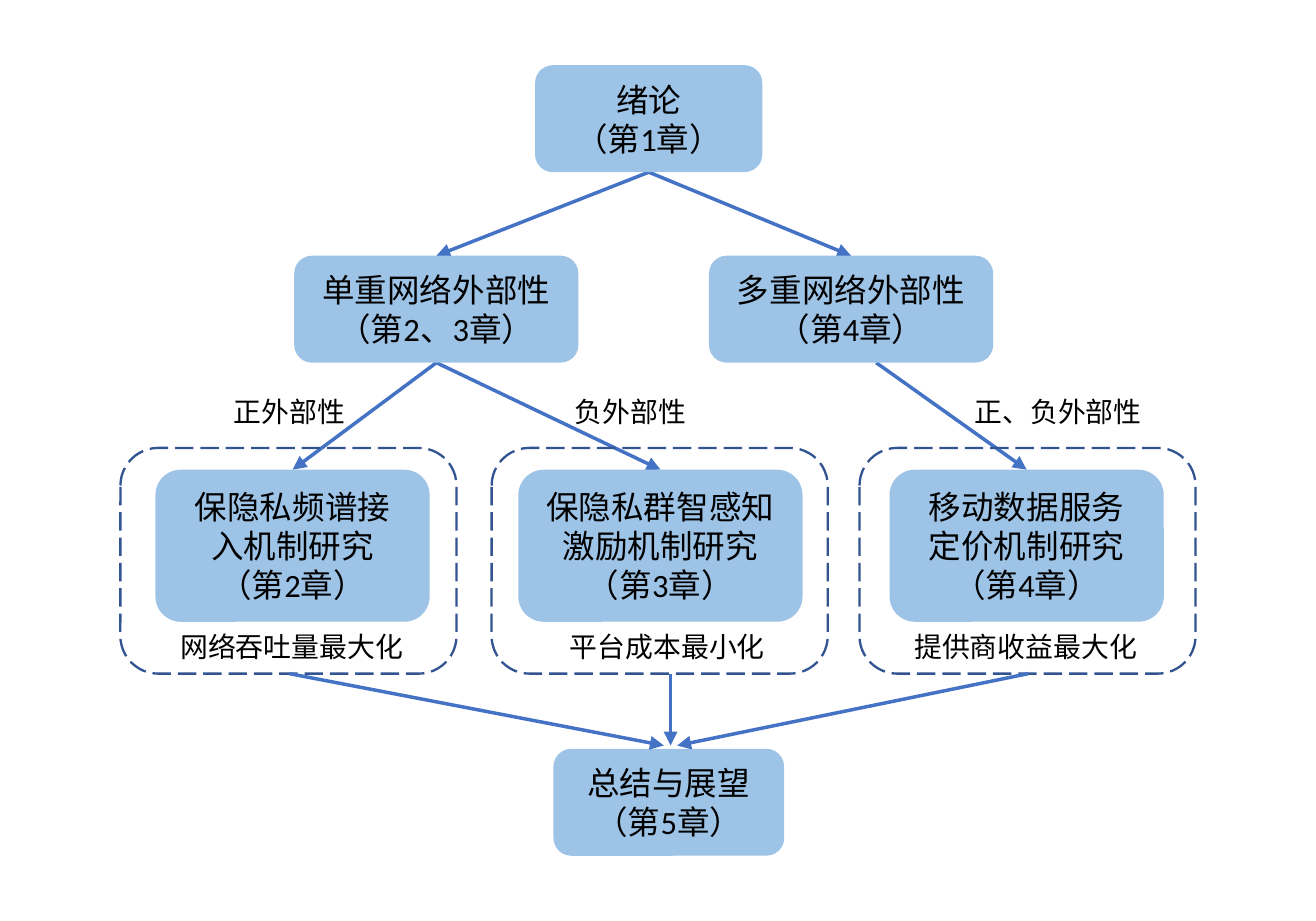
from pptx import Presentation
from pptx.dml.color import RGBColor
from pptx.enum.dml import MSO_LINE_DASH_STYLE as Dash
from pptx.enum.shapes import MSO_CONNECTOR as Connector, MSO_SHAPE as Preset
from pptx.enum.text import MSO_ANCHOR as Anchor, PP_ALIGN as Align
from pptx.oxml.ns import qn
from pptx.util import Inches, Pt
from lxml import etree

# Content: chapter boxes as text, left, top, width, height
BOXES = {
    "intro": ("绪论\n（第1章）", 3.2, 0.39, 1.36, 0.64),
    "single": ("单重网络外部性（第2、3章）", 1.76, 1.53, 1.7, 0.64),
    "multiple": ("多重网络外部性（第4章）", 4.24, 1.53, 1.7, 0.64),
    "spectrum": ("保隐私频谱接入机制研究（第2章）", 0.93, 2.81, 1.64, 0.91),
    "sensing": ("保隐私群智感知激励机制研究（第3章）", 3.1, 2.81, 1.7, 0.91),
    "pricing": ("移动数据服务定价机制研究（第4章）", 5.32, 2.81, 1.64, 0.91),
    "outlook": ("总结与展望\n（第5章）", 3.31, 4.48, 1.38, 0.64),
}
# Labels as text, left, top, width
EFFECT_TOP, GOAL_TOP = 2.31, 3.72
LABELS = [
    ("正外部性", 1.3, EFFECT_TOP, 1.01),
    ("负外部性", 3.34, EFFECT_TOP, 0.9),
    ("正、负外部性", 5.73, EFFECT_TOP, 1.27),
    ("网络吞吐量最大化", 0.98, GOAL_TOP, 1.64),
    ("平台成本最小化", 3.31, GOAL_TOP, 1.44),
    ("提供商收益最大化", 5.37, GOAL_TOP, 1.64),
]
LABEL_HEIGHT = 0.3
# Dashed frames around the three studies
FRAME_LEFTS = [0.72, 2.94, 5.14]
FRAME_TOP, FRAME_WIDTH, FRAME_HEIGHT = 2.68, 2.01, 1.35
# Arrows between boxes: source, target, shift of the start from the centre
BRANCHES = [
    ("intro", "single", 0),
    ("intro", "multiple", 0),
    ("single", "spectrum", 0),
    ("multiple", "pricing", 0.15),
    ("single", "sensing", 0),
]
# Arrows from the frames to the outlook: start x, end x
MERGES = [(1.73, 3.97), (4.01, 4.01), (6.15, 4.05)]
MERGE_GAP = 0.02

COLORS = {"box": "9DC3E6", "arrow": "4472C4", "frame": "325491", "text": "000000"}
FONT = "Calibri"

presentation = Presentation()
presentation.slide_width, presentation.slide_height = Inches(7.87), Inches(5.51)
slide = presentation.slides.add_slide(presentation.slide_layouts[6])


def color(name):
    return RGBColor.from_string(COLORS[name])


def write(shape, text, size, align):
    frame = shape.text_frame
    frame.word_wrap = True
    frame.text = text
    for paragraph in frame.paragraphs:
        paragraph.alignment = align
        for run in paragraph.runs:
            run.font.size = Pt(size)
            run.font.name = FONT
            run.font.color.rgb = color("text")


def add_round(left, top, width, height):
    shape = slide.shapes.add_shape(
        Preset.ROUNDED_RECTANGLE, *map(Inches, (left, top, width, height)))
    shape.shadow.inherit = False
    return shape


def add_arrow(x1, y1, x2, y2):
    arrow = slide.shapes.add_connector(
        Connector.STRAIGHT, *map(Inches, (x1, y1, x2, y2)))
    arrow.line.color.rgb = color("arrow")
    arrow.line.width = Pt(1.5)
    etree.SubElement(arrow.line._get_or_add_ln(), qn("a:tailEnd"), type="triangle")
    etree.SubElement(arrow._element.spPr, qn("a:effectLst"))


# Branch arrows, from bottom edge to top edge
for source, target, shift in BRANCHES:
    _, left, top, width, height = BOXES[source]
    _, target_left, target_top, target_width, _ = BOXES[target]
    add_arrow(left + width / 2 + shift, top + height,
              target_left + target_width / 2, target_top)

# Chapter boxes
for text, *place in BOXES.values():
    box = add_round(*place)
    box.fill.solid()
    box.fill.fore_color.rgb = color("box")
    box.line.fill.background()
    box.text_frame.vertical_anchor = Anchor.MIDDLE
    write(box, text, 14, Align.CENTER)

# Labels
for text, left, top, width in LABELS:
    label = slide.shapes.add_textbox(*map(Inches, (left, top, width, LABEL_HEIGHT)))
    write(label, text, 12, Align.LEFT)

# Dashed frames
for left in FRAME_LEFTS:
    frame = add_round(left, FRAME_TOP, FRAME_WIDTH, FRAME_HEIGHT)
    frame.fill.background()
    frame.line.color.rgb = color("frame")
    frame.line.width = Pt(1)
    frame.line.dash_style = Dash.LONG_DASH

# Arrows merging into the outlook
for start, end in MERGES:
    add_arrow(start, FRAME_TOP + FRAME_HEIGHT, end, BOXES["outlook"][2] - MERGE_GAP)

presentation.save("out.pptx")
